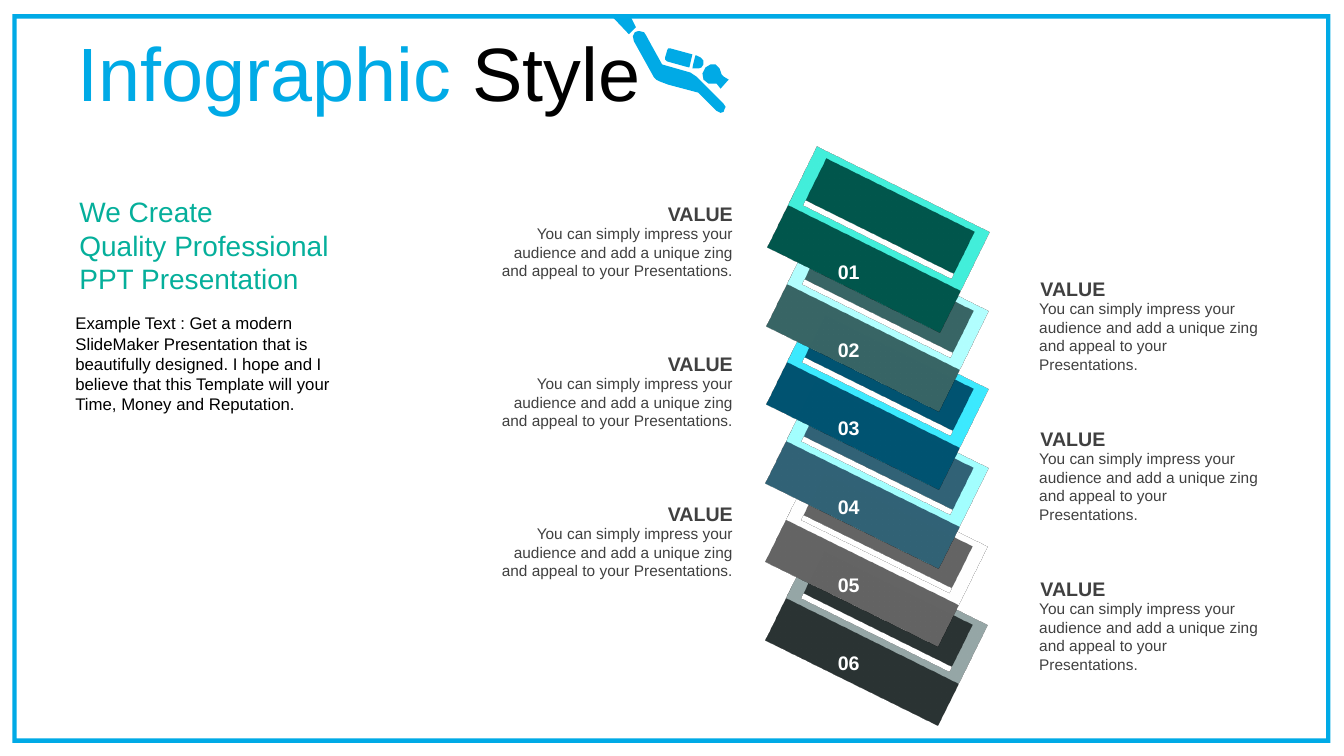
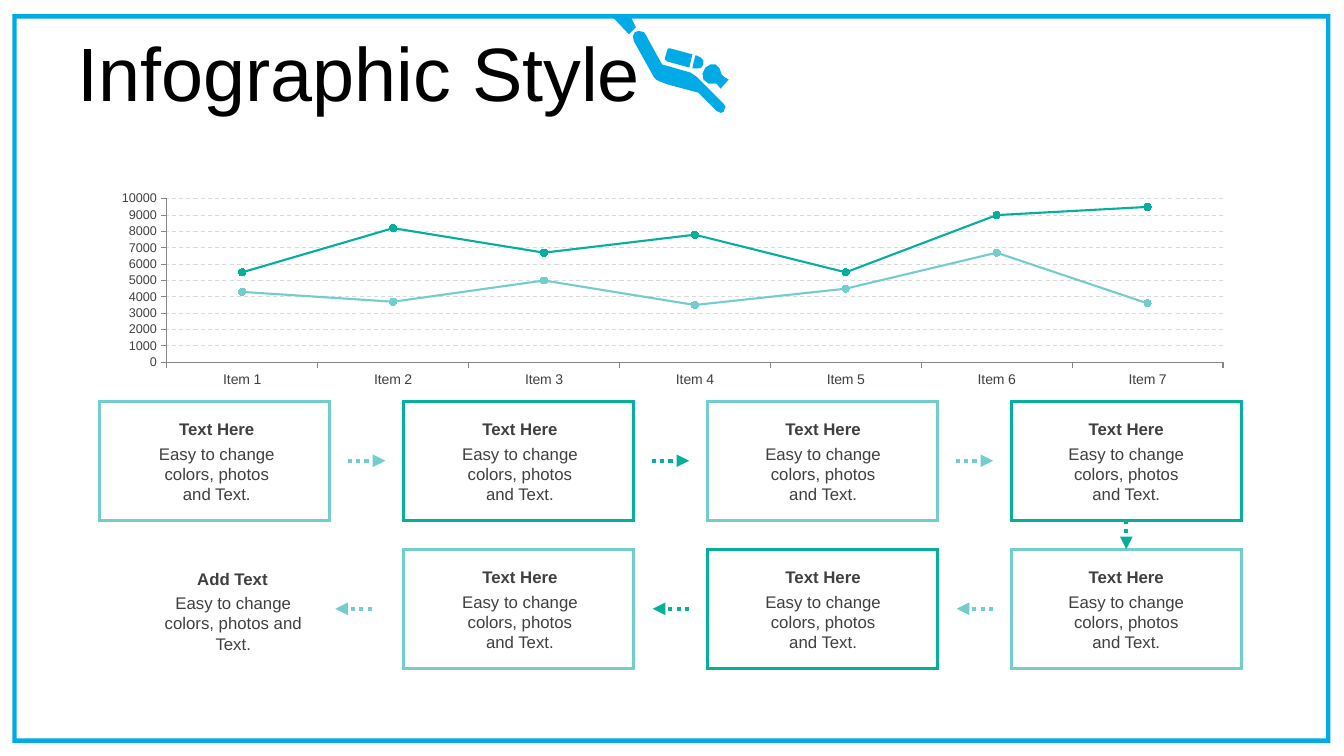
from dataclasses import dataclass

from lxml.etree import SubElement
from pptx import Presentation
from pptx.chart.data import CategoryChartData
from pptx.dml.color import RGBColor
from pptx.enum.chart import XL_CHART_TYPE, XL_MARKER_STYLE, XL_TICK_MARK
from pptx.enum.dml import MSO_LINE
from pptx.enum.shapes import MSO_CONNECTOR, MSO_SHAPE
from pptx.enum.text import MSO_ANCHOR, PP_ALIGN
from pptx.oxml.ns import qn
from pptx.util import Cm, Pt


@dataclass(frozen=True)
class Theme:
    font: str = "Arial"
    blue: str = "00AAE6"
    sky: str = "64C8F0"
    teal: str = "05AF9B"
    aqua: str = "73CDCD"
    silver: str = "CBCBCB"
    slate: str = "576868"
    black: str = "000000"
    white: str = "FFFFFF"
    ink: str = "404040"
    grid: str = "D9D9D9"
    axis: str = "868686"
    title: int = 54
    lead: int = 20
    label: int = 14
    body: int = 12
    small: int = 11
    category: int = 10
    scale: int = 9


THEME = Theme()

# Content: slide 1
STACK_TITLE = [[("Infographic", THEME.blue), (" Style", THEME.black)]]
LEAD = ["We Create", "Quality Professional", "PPT Presentation"]
EXAMPLE = ("Example Text : Get a modern SlideMaker Presentation that is "
           "beautifully designed. I hope and I believe that this Template "
           "will your Time, Money and Reputation.")
VALUE_HEAD = "VALUE"
VALUE_BODY = ("You can simply impress your audience and add a unique zing "
              "and appeal to your Presentations.")
LAYERS = [("01", THEME.teal), ("02", THEME.aqua), ("03", THEME.blue),
          ("04", THEME.sky), ("05", THEME.silver), ("06", THEME.slate)]

# Content: slide 2
FLOW_TITLE = ["Infographic Style"]
ITEMS = [f"Item {n}" for n in range(1, 8)]
SERIES = [
    ("Series 1", THEME.aqua, (4300, 3700, 5000, 3500, 4500, 6700, 3600)),
    ("Series 2", THEME.teal, (5500, 8200, 6700, 7800, 5500, 9000, 9500)),
]
STEP_HEAD = "Text Here"
STEP_BODY = "Easy to change colors, photos and Text."
END_HEAD = "Add Text"
# column, row, colour, in reading order of the flow
STEPS = [(0, 0, THEME.aqua), (1, 0, THEME.teal), (2, 0, THEME.aqua),
         (3, 0, THEME.teal), (3, 1, THEME.aqua), (2, 1, THEME.teal),
         (1, 1, THEME.aqua)]

# Diver outline, in hundredths of an inch
DIVER = [
    [(705, 64), (710, 64), (714, 68), (716, 74), (718, 76), (723, 79),
     (715, 88), (711, 83), (708, 83), (703, 83), (698, 79), (697, 73),
     (700, 67)],
    [(691, 55), (695, 57), (698, 60), (698, 64), (696, 67), (693, 68),
     (687, 68), (688, 63), (690, 55)],
    [(665, 48), (687, 54), (684, 67), (680, 66), (662, 61), (660, 59),
     (660, 57), (662, 50), (663, 48)],
    [(635, 31), (639, 32), (641, 35), (647, 46), (657, 64), (685, 72),
     (691, 76), (718, 103), (720, 106), (719, 108), (718, 111), (715, 112),
     (711, 110), (693, 92), (663, 84), (655, 81), (651, 79), (649, 77),
     (629, 41), (628, 36), (630, 32), (633, 31)],
    [(606, 15), (625, 15), (631, 27), (624, 34)],
]


def rgb(color):
    return RGBColor.from_string(color)


def style(font, size, color, bold=False):
    font.name = THEME.font
    font.size = Pt(size)
    font.bold = bold
    font.color.rgb = rgb(color)


def paint(shape, color):
    shape.shadow.inherit = False
    shape.fill.solid()
    shape.fill.fore_color.rgb = rgb(color)
    shape.line.fill.background()


def write(slide, paragraphs, left, top, width, height, *, size, color=THEME.ink,
          bold=False, align=PP_ALIGN.LEFT, anchor=MSO_ANCHOR.TOP,
          inset=(0, 0), spacing=None, fill=None):
    """Place text; a paragraph is a string or a list of (text, colour) runs."""
    place = Cm(left), Cm(top), Cm(width), Cm(height)
    if fill:
        box = slide.shapes.add_shape(MSO_SHAPE.RECTANGLE, *place)
        paint(box, fill)
    else:
        box = slide.shapes.add_textbox(*place)
    frame = box.text_frame
    frame.word_wrap = True
    frame.vertical_anchor = anchor
    frame.margin_left = frame.margin_right = Cm(inset[0])
    frame.margin_top = frame.margin_bottom = Cm(inset[1])
    for i, content in enumerate(paragraphs):
        paragraph = frame.add_paragraph() if i else frame.paragraphs[0]
        paragraph.alignment = align
        if spacing:
            paragraph.line_spacing = spacing
        runs = [(content, color)] if isinstance(content, str) else content
        for text, run_color in runs:
            run = paragraph.add_run()
            run.text = text
            style(run.font, size, run_color, bold)


def add_frame(slide, left, top, width, height, thickness, color):
    frame = slide.shapes.add_shape(MSO_SHAPE.FRAME, Cm(left), Cm(top),
                                   Cm(width), Cm(height))
    frame.adjustments[0] = thickness
    paint(frame, color)
    return frame


def add_diver(slide):
    contours = [[(Cm(x * 2.54 / 100), Cm(y * 2.54 / 100)) for x, y in part]
                for part in DIVER]
    builder = slide.shapes.build_freeform(*contours[0][0], scale=1.0)
    for i, (start, *rest) in enumerate(contours):
        if i:
            builder.move_to(*start)
        builder.add_line_segments(rest, close=True)
    paint(builder.convert_to_shape(), THEME.blue)


def add_page(deck, title):
    """Blank slide with the shared border, title and diver."""
    slide = deck.slides.add_slide(deck.slide_layouts[6])
    add_frame(slide, 0.31, 0.36, 33.22, 18.36, 0.006, THEME.blue)
    write(slide, title, 1.7, 0.94, 31.09, 2, size=THEME.title,
          color=THEME.black, anchor=MSO_ANCHOR.MIDDLE, inset=(0.25, 0.13),
          spacing=0.9)
    add_diver(slide)
    return slide


def extrude(shape, depth, tilt, turn):
    """Give a shape depth, seen from a camera turned by degrees."""
    properties = shape.fill._xPr
    scene = SubElement(properties, qn("a:scene3d"))
    camera = SubElement(scene, qn("a:camera"), prst="orthographicFront")
    SubElement(camera, qn("a:rot"), lat=str(int(tilt * 60000)), lon="0",
               rev=str(int(turn * 60000)))
    SubElement(scene, qn("a:lightRig"), rig="threePt", dir="t")
    SubElement(properties, qn("a:sp3d"), extrusionH=str(Cm(depth)))


def build_stack(deck):
    slide = add_page(deck, STACK_TITLE)

    # Layers, from the bottom one up
    for i, (_, color) in reversed(list(enumerate(LAYERS))):
        layer = add_frame(slide, 19.97 - 0.01 * i, 3.76 + 1.98 * i, 4.85, 3.5,
                          0.098, color)
        extrude(layer, 1.34, tilt=298, turn=333.7)

    # Numbers, and values on alternating sides
    for i, (number, _) in enumerate(LAYERS):
        write(slide, [number], 19.41, 6.55 + 1.97 * i, 3.96, 0.6,
              size=THEME.label, color=THEME.white, bold=True,
              align=PP_ALIGN.CENTER)
        left, width, align = ((26.19, 5.79, PP_ALIGN.LEFT) if i % 2
                              else (12.27, 6.2, PP_ALIGN.RIGHT))
        top = 5.1 + 1.89 * i
        write(slide, [VALUE_BODY], left, top + 0.56, width, 1.42,
              size=THEME.small, align=align)
        write(slide, [VALUE_HEAD], left + 0.03, top, width - 0.03, 0.6,
              size=THEME.label, bold=True, align=align)

    # Introduction
    write(slide, LEAD, 1.9, 4.89, 7.14, 2.57, size=THEME.lead,
          color=THEME.teal, anchor=MSO_ANCHOR.MIDDLE, inset=(0.1, 0))
    write(slide, [EXAMPLE], 1.9, 7.89, 7.24, 2.57, size=THEME.body,
          color=THEME.black)


def add_arrow(slide, start, end, color):
    arrow = slide.shapes.add_connector(MSO_CONNECTOR.STRAIGHT, Cm(start[0]),
                                       Cm(start[1]), Cm(end[0]), Cm(end[1]))
    arrow.line.color.rgb = rgb(color)
    arrow.line.width = Pt(3)
    arrow.line.dash_style = MSO_LINE.ROUND_DOT
    properties = arrow.line._get_or_add_ln()
    SubElement(properties, qn("a:tailEnd"), type="triangle")
    SubElement(properties.getparent(), qn("a:effectLst"))
    return arrow


def add_trend(slide):
    figures = CategoryChartData(number_format="General")
    figures.categories = ITEMS
    for name, _, values in SERIES:
        figures.add_series(name, values)
    chart = slide.shapes.add_chart(
        XL_CHART_TYPE.LINE_MARKERS, Cm(2.49), Cm(4.72), Cm(28.91), Cm(5.16),
        figures).chart
    chart.has_legend = chart.has_title = False
    style(chart.font, THEME.category, THEME.ink)
    chart.plots[0].vary_by_categories = False

    for line, (_, color, _) in zip(chart.plots[0].series, SERIES):
        line.smooth = False
        line.format.line.color.rgb = rgb(color)
        line.format.line.width = Pt(1.5)
        line.marker.style = XL_MARKER_STYLE.CIRCLE
        line.marker.size = 5
        line.marker.format.fill.solid()
        line.marker.format.fill.fore_color.rgb = rgb(color)
        line.marker.format.line.color.rgb = rgb(color)

    for axis, size in ((chart.category_axis, THEME.category),
                       (chart.value_axis, THEME.scale)):
        axis.major_tick_mark = XL_TICK_MARK.OUTSIDE
        axis.minor_tick_mark = XL_TICK_MARK.NONE
        axis.format.line.color.rgb = rgb(THEME.axis)
        style(axis.tick_labels.font, size, THEME.ink)
    scale = chart.value_axis
    scale.minimum_scale, scale.maximum_scale, scale.major_unit = 0, 10000, 1000
    gridlines = scale.major_gridlines.format.line
    gridlines.color.rgb = rgb(THEME.grid)
    gridlines.width = Pt(0.75)
    gridlines.dash_style = MSO_LINE.DASH


def build_flow(deck):
    slide = add_page(deck, FLOW_TITLE)
    left, pitch, width, height = 2.51, 7.66, 5.79, 3
    tops = (10.11, 13.84)
    gap = 0.46
    text_left, text_pitch, text_width = 3.56, 7.64, 3.81
    centred = {"size": THEME.body, "align": PP_ALIGN.CENTER,
               "inset": (0.25, 0.13)}

    # Steps
    boxes = []
    for column, row, color in STEPS:
        y = tops[row]
        box = slide.shapes.add_shape(MSO_SHAPE.RECTANGLE,
                                     Cm(left + pitch * column), Cm(y),
                                     Cm(width), Cm(height))
        box.shadow.inherit = False
        box.fill.background()
        box.line.color.rgb = rgb(color)
        box.line.width = Pt(2)
        SubElement(box.line._get_or_add_ln(), qn("a:miter"), lim="800000")
        boxes.append(box)
        x = text_left + text_pitch * column
        write(slide, [STEP_BODY], x, y + 0.94, text_width, 1.8, **centred)
        write(slide, [STEP_HEAD], x, y + 0.3, text_width, 0.76, bold=True,
              **centred)

    # Arrows: right along the first row, down, left along the second
    for i, (column, row, color) in enumerate(STEPS):
        y = tops[row] + height / 2
        x = left + pitch * column
        if i == 3:
            middle = x + width / 2
            down = add_arrow(slide, (middle, tops[0] + height),
                             (middle, tops[1]), color)
            down.begin_connect(boxes[i], 2)
            down.end_connect(boxes[i + 1], 0)
        elif row == 0:
            add_arrow(slide, (x + width + gap, y), (x + pitch - gap, y), color)
        else:
            start = x - gap - (0.34 if column == 1 else 0)
            add_arrow(slide, (start, y), (start - 0.92, y), color)

    # Closing text
    closing = {"anchor": MSO_ANCHOR.MIDDLE, "fill": THEME.white, **centred}
    write(slide, [STEP_BODY], 3.58, 14.83, 4.6, 1.75, **closing)
    write(slide, [END_HEAD], 3.56, 14.17, 4.6, 0.84, bold=True, **closing)

    add_trend(slide)


def main():
    deck = Presentation()
    deck.slide_width, deck.slide_height = Cm(33.87), Cm(19.05)
    build_stack(deck)
    build_flow(deck)
    deck.save("out.pptx")


if __name__ == "__main__":
    main()
